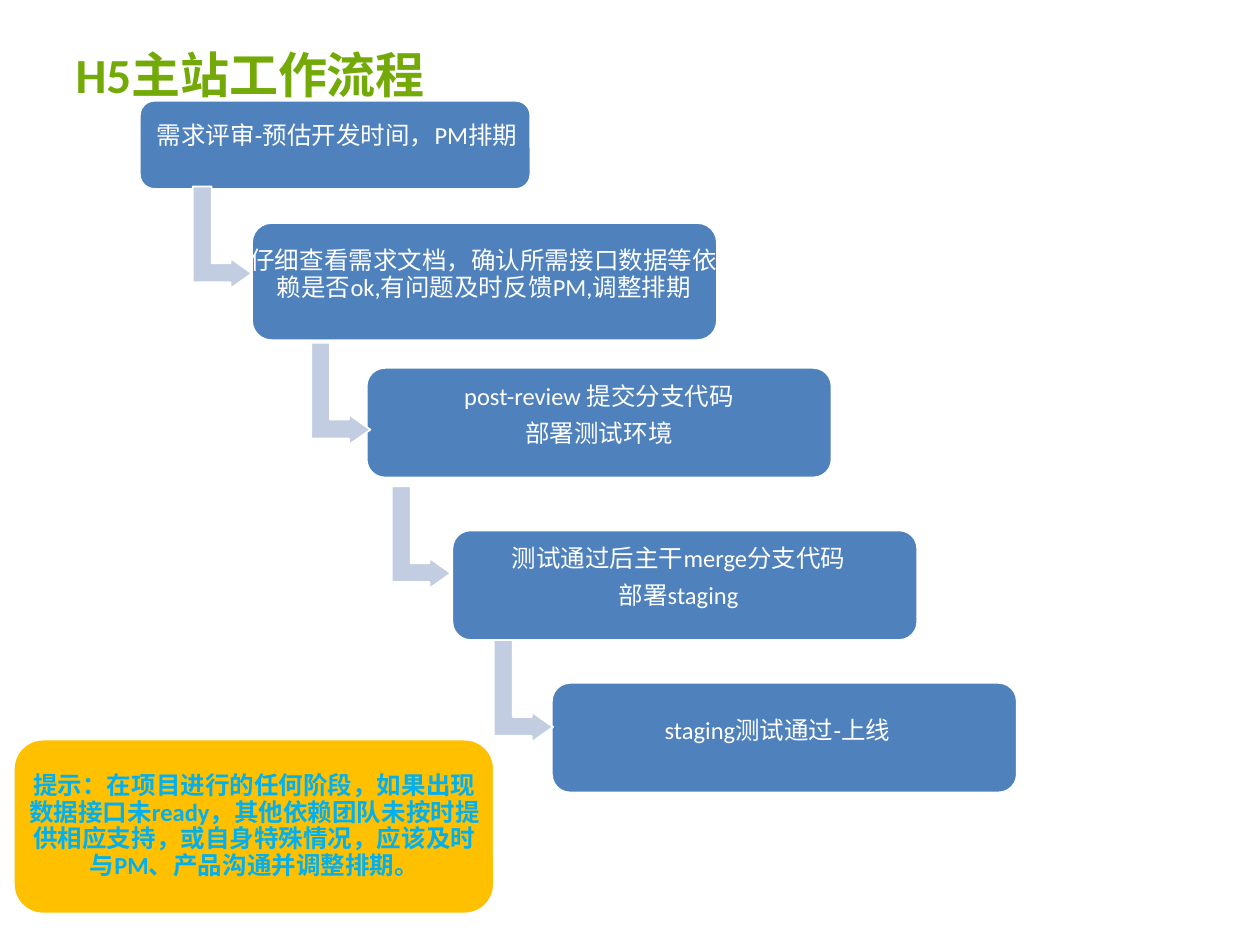
from lxml import etree
from pptx import Presentation
from pptx import util as u
from pptx.dml.color import RGBColor
from pptx.enum import shapes, text
from pptx.oxml.ns import qn

COLS, ROWS = 100, 75  # square grid cells on a 10 x 7.5 inch slide


def rgb(value):
    return RGBColor.from_string(value)


class Deck:
    FONT, CJK = "Calibri", "Noto Sans CJK SC"
    BLUE, ARROW, WHITE = "4F81BD", "C2CDE1", "FFFFFF"
    PARA = {"alignment": text.PP_ALIGN.CENTER, "line_spacing": 0.9,
            "space_after": u.Pt(6.1)}
    ELBOW = [(0, 0), (1.5, 0), (1.5, 6.1), (3, 6.1), (3, 5.7),
             (4.7, 6.9), (3, 8.1), (3, 7.6), (0, 7.6)]

    def __init__(self):
        self.prs = Presentation()
        self.prs.slide_width, self.prs.slide_height = u.Inches(10), u.Inches(7.5)
        self.s = self.prs.slides.add_slide(self.prs.slide_layouts[5])

    def x(self, cols):
        return round(self.prs.slide_width * cols / COLS)

    def y(self, rows):
        return round(self.prs.slide_height * rows / ROWS)

    def area(self, left, top, width, height):
        return self.x(left), self.y(top), self.x(width), self.y(height)

    def style(self, target, values):
        for name, value in values.items():
            setattr(target, name, value)

    def add_words(self, p, words, size, color, bold=False):
        r = p.add_run()
        r.text = words
        self.style(r.font, {"name": self.FONT, "size": u.Pt(size), "bold": bold})
        r.font.color.rgb = rgb(color)
        return r

    def paint(self, sp, fill):
        sp.shadow.inherit = False
        sp.fill.solid()
        sp.fill.fore_color.rgb = rgb(fill)
        sp.line.color.rgb = rgb(self.WHITE)
        sp.line.width = u.Pt(1)

    def title(self, words, area, size, color):
        sp = self.s.shapes.title
        self.style(sp, dict(zip(("left", "top", "width", "height"), self.area(*area))))
        tf = sp.text_frame
        self.style(tf, {"vertical_anchor": text.MSO_ANCHOR.TOP, "word_wrap": True})
        p = tf.paragraphs[0]
        p.alignment = text.PP_ALIGN.LEFT
        r = self.add_words(p, words, size, color, True)
        ea = etree.SubElement(r.font._element, qn("a:ea"))
        ea.set("typeface", self.CJK)

    def card(self, box, label, lines, fill=BLUE, color=WHITE, bold=False):
        group = self.s.shapes.add_group_shape()
        sp = group.shapes.add_shape(shapes.MSO_SHAPE.ROUNDED_RECTANGLE, *self.area(*box))
        self.paint(sp, fill)
        tf = group.shapes.add_textbox(*self.area(*label)).text_frame
        margins = dict.fromkeys(
            ("margin_left", "margin_right", "margin_top", "margin_bottom"), u.Inches(0.05))
        self.style(tf, {"word_wrap": True,
                        "vertical_anchor": text.MSO_ANCHOR.MIDDLE, **margins})
        for i, line in enumerate(lines):
            p = tf.add_paragraph() if i else tf.paragraphs[0]
            self.style(p, self.PARA)
            self.add_words(p, line, 14, color, bold)

    def elbow(self, left, top):
        points = [(self.x(left + dx), self.y(top + dy)) for dx, dy in self.ELBOW]
        builder = self.s.shapes.build_freeform(*points[0])
        builder.add_line_segments(points[1:], close=True)
        self.paint(builder.convert_to_shape(), self.ARROW)


def main():
    deck = Deck()
    deck.title("H5主站工作流程", (5, 3, 90, 6.9), 28, "73AA07")

    # Workflow steps: box, label area, lines
    steps = [
        ((11.1, 8, 31, 7), (11.4, 7.1, 30.7, 7.5), ["需求评审-预估开发时间，PM排期"]),
        ((20, 17.7, 36.9, 9.3), (18.8, 17, 39.2, 9.7),
         ["仔细查看需求文档，确认所需接口数据等依赖是否ok,有问题及时反馈PM,调整排期"]),
        ((29.1, 29.2, 36.9, 8.7), (27.9, 28.5, 39.3, 9),
         ["post-review 提交分支代码", "部署测试环境"]),
        ((35.9, 42.1, 36.9, 8.7), (34.2, 41.4, 39.3, 9),
         ["测试通过后主干merge分支代码", "部署staging"]),
        ((43.8, 54.2, 36.9, 8.7), (42.1, 53.5, 39.2, 9.1), ["staging测试通过-上线"]),
    ]
    for box, label, lines in steps:
        deck.card(box, label, lines)

    # Arrows from each step to the next
    for left, top in [(15.3, 14.8), (24.7, 27.2), (31.1, 38.6), (39.2, 50.8)]:
        deck.elbow(left, top)

    # Reminder
    deck.card((1.1, 58.7, 38.1, 13.8), (1.5, 59.4, 37.4, 12.4),
              ["提示：在项目进行的任何阶段，如果出现数据接口未ready，其他依赖团队未按时提供相应支持，"
               "或自身特殊情况，应该及时与PM、产品沟通并调整排期。"],
              fill="FFC000", color="00B0F0", bold=True)

    deck.prs.save("out.pptx")


if __name__ == "__main__":
    main()
